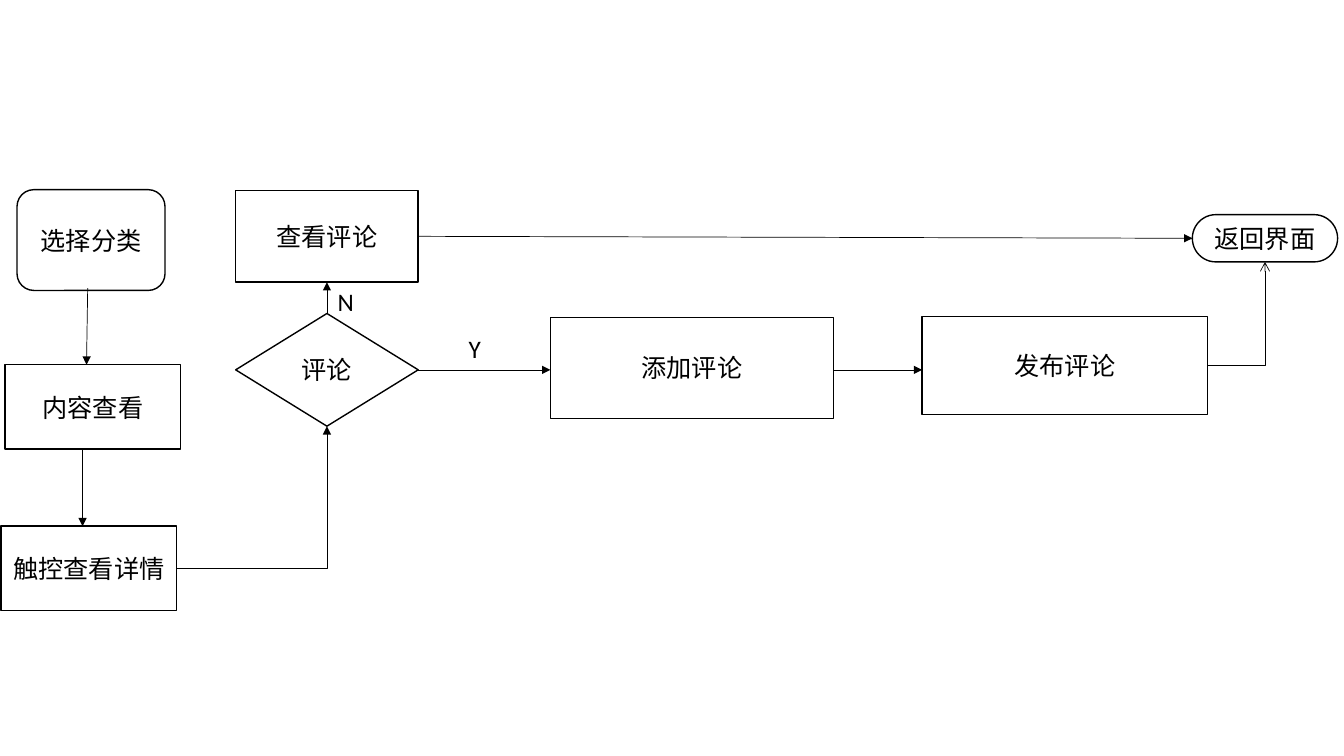
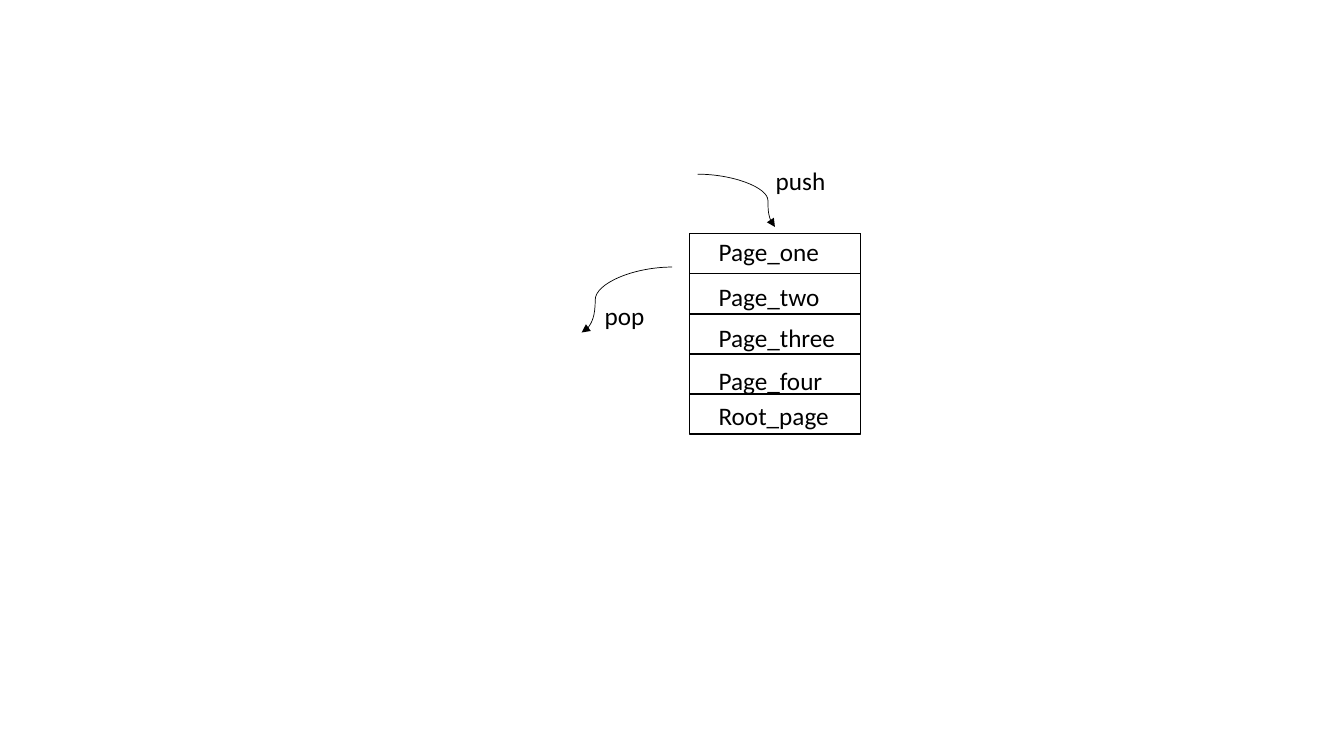
from lxml import etree
from pptx import Presentation
from pptx import util as u
from pptx.dml.color import RGBColor
from pptx.enum import shapes, text
from pptx.oxml.ns import qn

HUES = {"ink": "000000", "paper": "FFFFFF"}
KIND = shapes.MSO_SHAPE
LINE = shapes.MSO_CONNECTOR
TOP, LEFT, BASE, RIGHT = range(4)  # connection sites of a box


def hue(name):
    """Return the named colour."""
    return RGBColor.from_string(HUES[name])


class Deck:
    """Holds the shared style and the current slide."""

    font, size = "Calibri", 18
    edge, thin = 1, 0.5

    def __init__(self):
        """Start an empty wide presentation."""
        self.prs = Presentation()
        self.prs.slide_width = u.Cm(33.87)
        self.prs.slide_height = u.Cm(19.05)
        self.slide = None

    def page(self):
        """Add a blank slide and make it current."""
        self.slide = self.prs.slides.add_slide(self.prs.slide_layouts[6])

    def letter(self, frame, words, align):
        """Put styled words into a text frame."""
        frame.text = words
        para = frame.paragraphs[0]
        para.alignment = align
        for run in para.runs:
            run.font.name = self.font
            run.font.size = u.Pt(self.size)
            run.font.color.rgb = hue("ink")

    def box(self, kind, place, words="", fill=None):
        """Draw an outlined shape, with centred words if any."""
        box = self.slide.shapes.add_shape(kind, *map(u.Cm, place))
        box.shadow.inherit = False
        if fill:
            box.fill.solid()
            box.fill.fore_color.rgb = hue(fill)
        else:
            box.fill.background()
        box.line.color.rgb = hue("ink")
        box.line.width = u.Pt(self.edge)
        if words:
            box.text_frame.vertical_anchor = text.MSO_ANCHOR.MIDDLE
            self.letter(box.text_frame, words, text.PP_ALIGN.CENTER)
        return box

    def label(self, words, left, top, width):
        """Add a free line of text."""
        spot = map(u.Cm, (left, top, width, 1.02))
        frame = self.slide.shapes.add_textbox(*spot).text_frame
        frame.word_wrap = True
        frame.auto_size = text.MSO_AUTO_SIZE.SHAPE_TO_FIT_TEXT
        self.letter(frame, words, text.PP_ALIGN.LEFT)

    def arrow(self, ends=(0, 0, 0, 0), kind=LINE.STRAIGHT, head="triangle"):
        """Draw a thin arrow between two points."""
        line = self.slide.shapes.add_connector(kind, *map(u.Cm, ends))
        line.line.color.rgb = hue("ink")
        line.line.width = u.Pt(self.thin)
        props = line._element.spPr
        tip = etree.SubElement(props.find(qn("a:ln")), qn("a:tailEnd"))
        tip.set("type", head)
        etree.SubElement(props, qn("a:effectLst"))
        return line

    def link(self, start, out, end, into, bent=False, head="triangle"):
        """Glue an arrow to two boxes, with one corner if bent."""
        line = self.arrow(head=head)
        line.begin_connect(start, out)
        line.end_connect(end, into)
        if bent:
            line._element.spPr.find(qn("a:prstGeom")).set("prst", "bentConnector2")

    def curve(self, ends, bend):
        """Draw a curved arrow that turns at a share of its width."""
        line = self.arrow(ends, LINE.CURVE)
        geom = line._element.spPr.find(qn("a:prstGeom"))
        marks = geom.find(qn("a:avLst"))
        if marks is None:
            marks = etree.SubElement(geom, qn("a:avLst"))
        mark = etree.SubElement(marks, qn("a:gd"))
        mark.set("name", "adj1")
        mark.set("fmla", f"val {round(bend * 100000)}")


def flow(deck):
    """Build the comment flow chart."""
    deck.page()
    rect = KIND.RECTANGLE
    view = deck.box(rect, (5.94, 4.8, 4.6, 2.31), "查看评论", "paper")
    deck.box(rect, (13.87, 8, 7.14, 2.54), "添加评论", "paper")
    post = deck.box(rect, (23.24, 7.98, 7.19, 2.46), "发布评论", "paper")
    deck.box(KIND.FLOWCHART_ALTERNATE_PROCESS, (0.43, 4.78, 3.73, 2.54), "选择分类")
    deck.box(rect, (0.13, 9.19, 4.42, 2.13), "内容查看", "paper")
    touch = deck.box(rect, (0.03, 13.26, 4.42, 2.13), "触控查看详情", "paper")
    choice = deck.box(KIND.FLOWCHART_DECISION, (5.94, 7.9, 4.6, 2.84), "评论")
    back = deck.box(KIND.FLOWCHART_TERMINATOR, (30.05, 5.41, 3.66, 1.19), "返回界面")

    deck.link(view, RIGHT, back, LEFT)
    deck.link(choice, TOP, view, BASE)
    deck.link(touch, RIGHT, choice, BASE, bent=True)
    deck.link(post, RIGHT, back, BASE, bent=True, head="arrow")
    for ends in ((2.21, 7.26, 2.18, 9.19), (2.08, 11.33, 2.08, 13.26),
                 (10.52, 9.32, 13.87, 9.32), (21.01, 9.32, 23.24, 9.32)):
        deck.arrow(ends)
    deck.label("Y", 11.56, 8.28, 2.41)
    deck.label("N", 8.26, 7.09, 2.41)


def stack(deck):
    """Build the page stack with its push and pop arrows."""
    deck.page()
    left, top, width, step = 17.37, 5.89, 4.32, 1.01
    wide = 7.59
    deck.box(KIND.FLOWCHART_PROCESS, (left, top, width, 5 * step))
    rows = (("Page_one", 5.84), ("Page_two", 6.96), ("Page_three", 8),
            ("Page_four", 9.07), ("Root_page", 9.96))
    for i, (name, y) in enumerate(rows):
        deck.box(KIND.FLOWCHART_PROCESS, (left, top + i * step, width, 1))
        deck.label(name, 17.86, y, wide)
    deck.curve((16.94, 6.73, 14.66, 8.38), 0.85)
    deck.curve((17.58, 4.39, 19.53, 5.72), 0.91)
    deck.label("push", 19.3, 4.04, wide)
    deck.label("pop", 14.99, 7.44, wide)


deck = Deck()
flow(deck)
stack(deck)
deck.prs.save("out.pptx")
